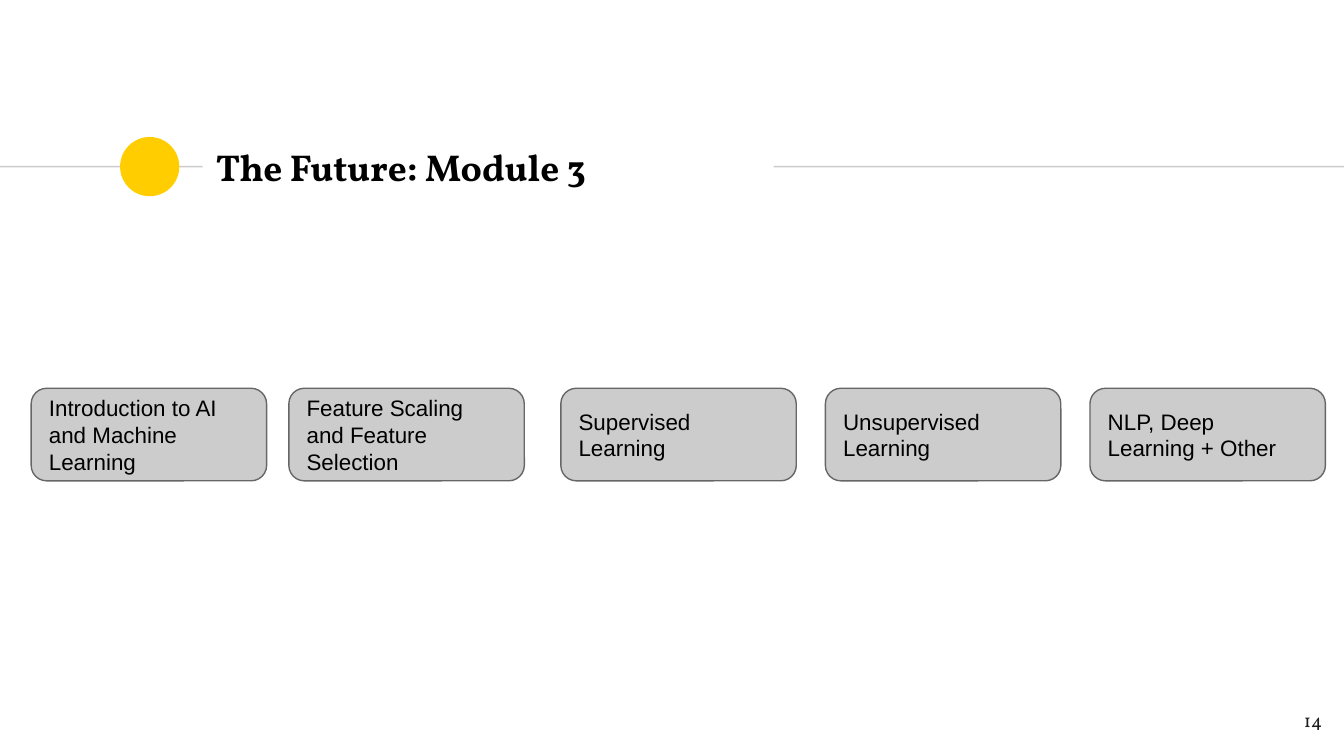
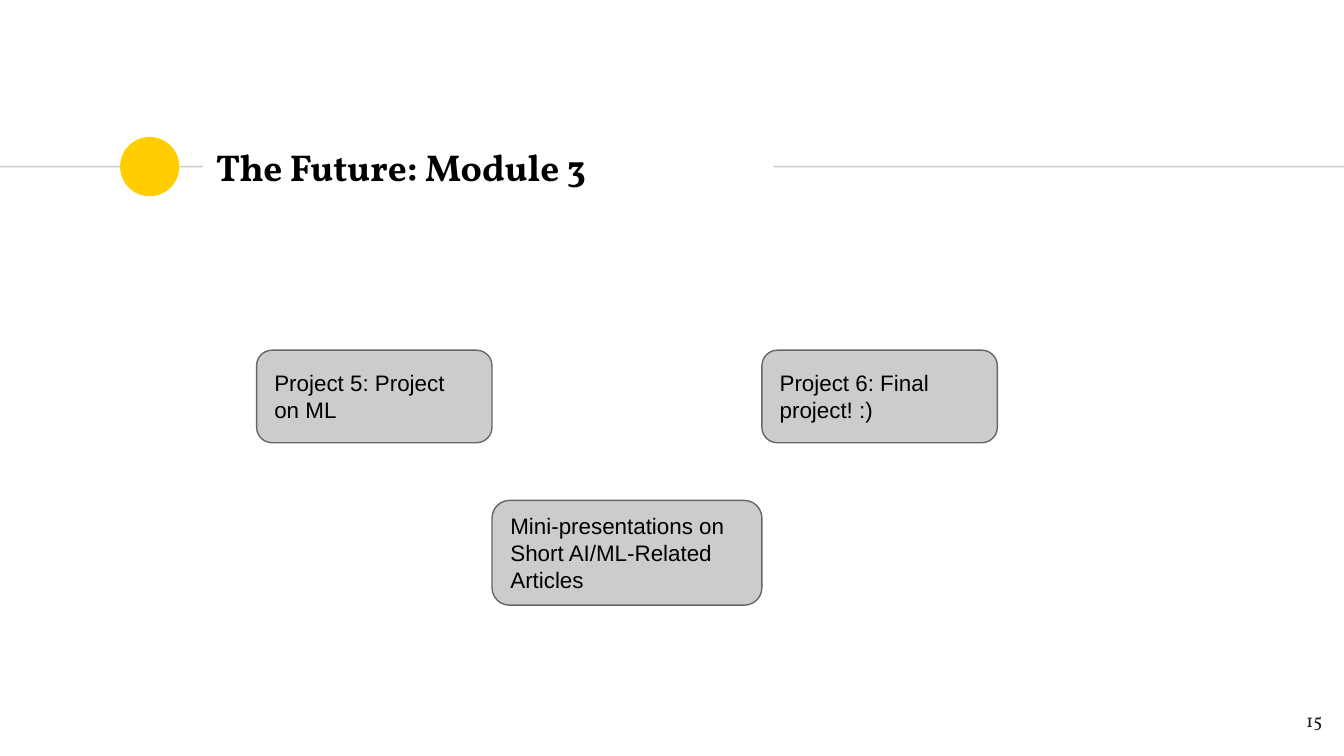
from lxml import etree
from pptx import Presentation
from pptx.dml.color import RGBColor
from pptx.enum.shapes import MSO_CONNECTOR, MSO_SHAPE
from pptx.enum.text import MSO_ANCHOR, PP_ALIGN
from pptx.oxml.ns import qn
from pptx.util import Cm, Pt

STRAIGHT = MSO_CONNECTOR.STRAIGHT
OVAL = MSO_SHAPE.OVAL
ROUNDED = MSO_SHAPE.ROUNDED_RECTANGLE
TOP, MIDDLE = MSO_ANCHOR.TOP, MSO_ANCHOR.MIDDLE
LEFT, RIGHT = PP_ALIGN.LEFT, PP_ALIGN.RIGHT

COLORS = {
    "accent": "FFCD00",
    "rule": "CCCCCC",
    "box": "CCCCCC",
    "box_line": "666666",
    "text": "000000",
    "number": "1D1D1B",
}
WIDTH, HEIGHT = 25.4, 14.29
RULE_Y = 3.15
BOX_W, BOX_H = 4.45, 1.75
MODULE_Y, PROJECT_Y = 7.34, 6.62

SLIDES = [
    (14, [
        (0.59, MODULE_Y, BOX_W, BOX_H, "Introduction to AI and Machine Learning"),
        (5.46, MODULE_Y, BOX_W, BOX_H, "Feature Scaling and Feature Selection"),
        (10.6, MODULE_Y, BOX_W, BOX_H, "Supervised Learning"),
        (15.6, MODULE_Y, BOX_W, BOX_H, "Unsupervised Learning"),
        (20.6, MODULE_Y, BOX_W, BOX_H, "NLP, Deep Learning + Other"),
    ]),
    (15, [
        (4.85, PROJECT_Y, BOX_W, BOX_H, "Project 5: Project on ML"),
        (14.4, PROJECT_Y, BOX_W, BOX_H, "Project 6: Final project! :)"),
        (9.3, 9.46, 5.1, 1.98, "Mini-presentations on Short AI/ML-Related Articles"),
    ]),
]


def rgb(name):
    return RGBColor.from_string(COLORS[name])


def write(sp, text, font, size, color, anchor=MIDDLE, align=LEFT, bold=False):
    tf = sp.text_frame
    tf.word_wrap = True
    tf.vertical_anchor = anchor
    tf.margin_left = tf.margin_right = tf.margin_top = tf.margin_bottom = Cm(0.25)
    p = tf.paragraphs[0]
    p.text = text
    p.alignment = align
    p.font.name = font
    p.font.size = Pt(size)
    p.font.bold = bold
    p.font.color.rgb = rgb(color)


prs = Presentation()
prs.slide_width, prs.slide_height = Cm(WIDTH), Cm(HEIGHT)

for number, boxes in SLIDES:
    s = prs.slides.add_slide(prs.slide_layouts[6])

    title = s.shapes.add_textbox(Cm(3.83), Cm(RULE_Y - 0.6), Cm(10.79), Cm(1.2))
    write(title, "The Future: Module 3", "Vollkorn", 20, "text", bold=True)

    for edge, side in ((0, 1), (WIDTH, 3)):
        rule = s.shapes.add_connector(STRAIGHT, Cm(edge), Cm(RULE_Y), Cm(edge), Cm(RULE_Y))
        rule.end_connect(title, side)
        rule.line.color.rgb = rgb("rule")
        rule.line.width = Pt(0.75)
        etree.SubElement(rule._element.spPr, qn("a:effectLst"))

    dot = s.shapes.add_shape(OVAL, Cm(2.27), Cm(RULE_Y - 0.56), Cm(1.12), Cm(1.12))
    dot.shadow.inherit = False
    dot.fill.solid()
    dot.fill.fore_color.rgb = rgb("accent")
    dot.line.fill.background()

    sp = s.shapes.add_textbox(Cm(23.72), Cm(13.18), Cm(1.52), Cm(1.09))
    write(sp, str(number), "Vollkorn", 10, "number", anchor=TOP, align=RIGHT)

    for x, y, w, h, text in boxes:
        sp = s.shapes.add_shape(ROUNDED, Cm(x), Cm(y), Cm(w), Cm(h))
        sp.adjustments[0] = 0.167
        sp.shadow.inherit = False
        sp.fill.solid()
        sp.fill.fore_color.rgb = rgb("box")
        sp.line.color.rgb = rgb("box_line")
        sp.line.width = Pt(0.75)
        write(sp, text, "Arial", 12, "text")

prs.save("out.pptx")
